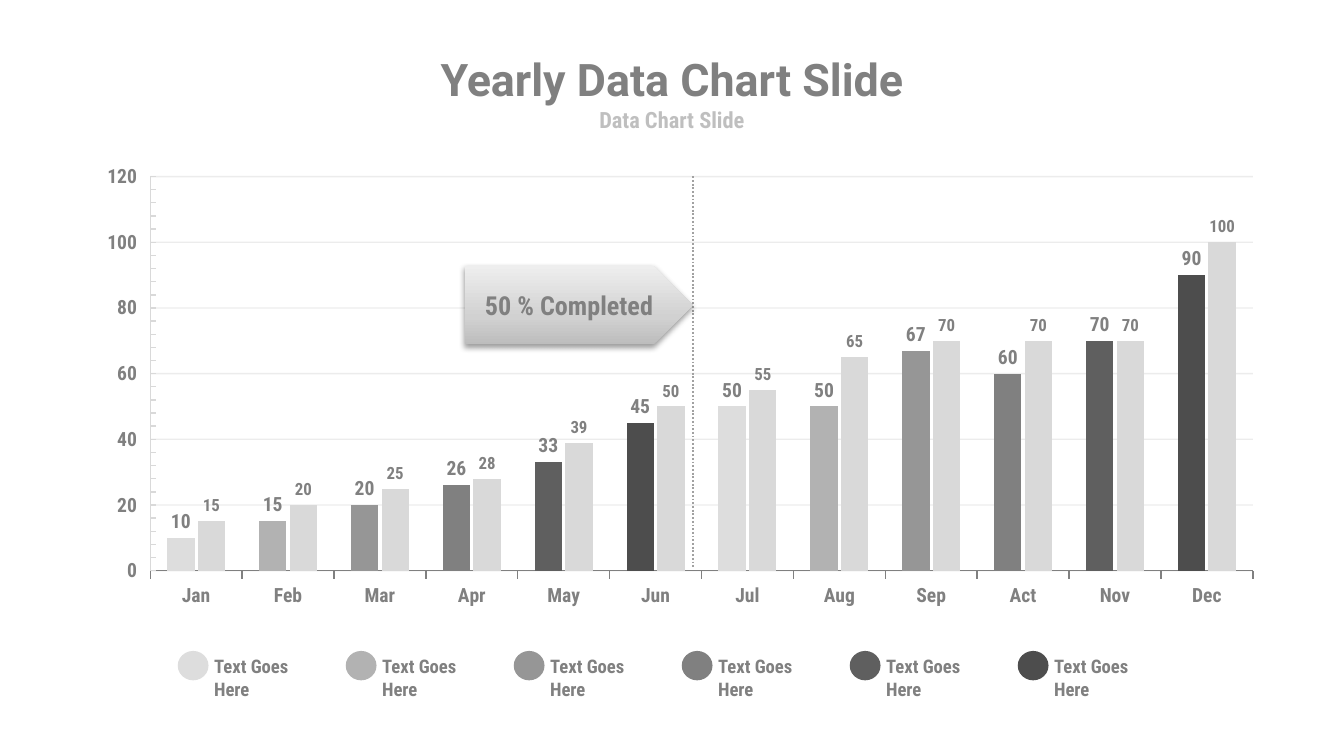
"""Build a yearly data chart slide with a half-year marker and a colour key."""
from dataclasses import dataclass

from lxml import etree
from pptx import Presentation
from pptx.chart.data import CategoryChartData
from pptx.dml.color import RGBColor
from pptx.enum.chart import XL_CHART_TYPE, XL_LABEL_POSITION, XL_TICK_LABEL_POSITION, XL_TICK_MARK
from pptx.enum.dml import MSO_LINE
from pptx.enum.shapes import MSO_CONNECTOR, MSO_SHAPE
from pptx.enum.text import MSO_ANCHOR, MSO_AUTO_SIZE, PP_ALIGN
from pptx.oxml import parse_xml
from pptx.oxml.ns import nsdecls, qn
from pptx.util import Pt

COLUMNS = XL_CHART_TYPE.COLUMN_CLUSTERED
OUTSIDE_END = XL_LABEL_POSITION.OUTSIDE_END
LABELS_LOW = XL_TICK_LABEL_POSITION.LOW
TICK_NONE, TICK_IN, TICK_OUT = XL_TICK_MARK.NONE, XL_TICK_MARK.INSIDE, XL_TICK_MARK.OUTSIDE
DOTTED = MSO_LINE.ROUND_DOT
STRAIGHT = MSO_CONNECTOR.STRAIGHT
OVAL, PENTAGON = MSO_SHAPE.OVAL, MSO_SHAPE.PENTAGON
TOP, MIDDLE = MSO_ANCHOR.TOP, MSO_ANCHOR.MIDDLE
LEFT, CENTER = PP_ALIGN.LEFT, PP_ALIGN.CENTER
NO_AUTOFIT = MSO_AUTO_SIZE.NONE
EMU_PER_PX = 9525


@dataclass(frozen=True)
class Theme:
    """Colours, fonts and type sizes."""
    text: str = "808080"
    subtitle: str = "BFBFBF"
    pale: str = "D9D9D9"
    marker: str = "A1A1A1"
    shades: tuple = ("DDDDDD", "B2B2B2", "969696", "808080", "5F5F5F", "4D4D4D")
    gradient: tuple = ((0, "BDBDBD"), (35, "D1D1D1"), (100, "EEEEEE"))
    heading_font: str = "Roboto"
    font: str = "Roboto Condensed"
    title_size: float = 24
    subtitle_size: float = 12
    axis_size: float = 10.5
    label_size: float = 9
    key_size: float = 10
    callout_size: float = 14


@dataclass(frozen=True)
class Box:
    """A rectangle in px."""
    x: int
    y: int
    w: int
    h: int

    def emu(self) -> tuple:
        """Return the rectangle in EMU."""
        return tuple(px(v) for v in (self.x, self.y, self.w, self.h))


@dataclass(frozen=True)
class KeyItem:
    """One dot of the colour key with its caption."""
    x: int
    color: str
    caption: str = "Text Goes Here"


THEME = Theme()
MONTHS = ("Jan", "Feb", "Mar", "Apr", "May", "Jun", "Jul", "Aug", "Sep", "Act", "Nov", "Dec")
SERIES = {
    "Series 1": (10, 15, 20, 26, 33, 45, 50, 50, 67, 60, 70, 90),
    "Series 2": (15, 20, 25, 28, 39, 50, 55, 65, 70, 70, 70, 100),
}
PLOT = {"x": 0.093, "y": 0.046, "w": 0.879, "h": 0.8}
KEY = [KeyItem(127 + 120 * i, color) for i, color in enumerate(THEME.shades)]


def px(value: int) -> int:
    """Turn px into EMU."""
    return value * EMU_PER_PX


def rgb(color: str) -> RGBColor:
    """Turn a hex string into a colour."""
    return RGBColor.from_string(color)


def style_font(font, size: float, color: str = THEME.text, name: str = THEME.font) -> None:
    """Set the bold type used all over the slide."""
    font.size, font.bold, font.name = Pt(size), True, name
    font.color.rgb = rgb(color)


def write(shape, text: str, size: float, color: str = THEME.text, name: str = THEME.font,
          align=CENTER, anchor=MIDDLE) -> None:
    """Write one run of text into a shape without insets."""
    tf = shape.text_frame
    tf.auto_size, tf.word_wrap, tf.vertical_anchor = NO_AUTOFIT, True, anchor
    tf.margin_left = tf.margin_top = tf.margin_right = tf.margin_bottom = 0
    p = tf.paragraphs[0]
    p.alignment = align
    r = p.add_run()
    r.text = text
    style_font(r.font, size, color, name)


def place(shape, box: Box) -> None:
    """Move a placeholder to a box."""
    shape.left, shape.top, shape.width, shape.height = box.emu()


def add_plain_shape(s, kind, box: Box):
    """Add a preset shape without outline or shadow."""
    sp = s.shapes.add_shape(kind, *box.emu())
    sp.shadow.inherit = False
    sp.line.fill.background()
    return sp


def add_headings(s) -> None:
    """Fill the title and body placeholders and drop the content one."""
    title, content, body = (s.placeholders[i] for i in (0, 1, 2))
    content.element.getparent().remove(content.element)
    place(title, Box(184, 38, 592, 37))
    write(title, "Yearly Data Chart Slide", THEME.title_size, name=THEME.heading_font)
    place(body, Box(264, 75, 432, 21))
    write(body, "Data Chart Slide", THEME.subtitle_size, THEME.subtitle)


def set_plot_layout(chart) -> None:
    """Fix the inner plot area inside the chart."""
    area = chart.element.find(f".//{qn('c:plotArea')}")
    for old in area.findall(qn("c:layout")):
        area.remove(old)
    modes = '<c:layoutTarget val="inner"/><c:xMode val="edge"/><c:yMode val="edge"/>'
    sizes = "".join(f'<c:{k} val="{v}"/>' for k, v in PLOT.items())
    area.insert(0, parse_xml(f'<c:layout {nsdecls("c")}><c:manualLayout>{modes}{sizes}'
                             "</c:manualLayout></c:layout>"))


def style_axes(chart) -> None:
    """Format both axes and the gridlines."""
    cat, val = chart.category_axis, chart.value_axis
    for axis in (cat, val):
        style_font(axis.tick_labels.font, THEME.axis_size)
        axis.format.line.width = Pt(0.75)
    cat.format.line.color.rgb = rgb(THEME.text)
    cat.major_tick_mark, cat.minor_tick_mark = TICK_OUT, TICK_NONE
    val.format.line.color.rgb = rgb(THEME.pale)
    val.major_tick_mark, val.minor_tick_mark = TICK_NONE, TICK_IN
    val.minimum_scale, val.maximum_scale = 0, 120
    val.major_unit, val.minor_unit = 20, 4
    val.tick_label_position = LABELS_LOW
    grid = val.major_gridlines.format.line
    grid.width = Pt(0.75)
    grid.color.rgb = rgb(THEME.pale)
    color = chart.element.find(f".//{qn('c:majorGridlines')}//{qn('a:srgbClr')}")
    etree.SubElement(color, qn("a:alpha"), val="48000")


def add_year_chart(s, box: Box) -> None:
    """Add the clustered columns for the year."""
    data = CategoryChartData()
    data.categories = MONTHS
    for name, values in SERIES.items():
        data.add_series(name, values)
    chart = s.shapes.add_chart(COLUMNS, *box.emu(), data).chart
    chart.has_legend = chart.has_title = False
    style_font(chart.font, THEME.axis_size)
    set_plot_layout(chart)
    style_axes(chart)
    plot = chart.plots[0]
    plot.gap_width, plot.overlap, plot.vary_by_categories = 124, -12, False
    looks = ((THEME.shades[0], THEME.axis_size), (THEME.pale, THEME.label_size))
    for series, (color, size) in zip(plot.series, looks):
        series.format.fill.solid()
        series.format.fill.fore_color.rgb = rgb(color)
        labels = series.data_labels
        labels.show_value, labels.position = True, OUTSIDE_END
        style_font(labels.font, size)
    for i in range(len(MONTHS)):
        fill = plot.series[0].points[i].format.fill
        fill.solid()
        fill.fore_color.rgb = rgb(THEME.shades[i % len(THEME.shades)])


def add_key_item(s, item: KeyItem) -> None:
    """Add a dot and its caption."""
    tb = s.shapes.add_textbox(*Box(item.x + 26, 468, 80, 16).emu())
    write(tb, item.caption, THEME.key_size, align=LEFT, anchor=TOP)
    dot = add_plain_shape(s, OVAL, Box(item.x, 465, 22, 21))
    dot.fill.solid()
    dot.fill.fore_color.rgb = rgb(item.color)


def add_marker(s) -> None:
    """Add the dotted line at half-year."""
    line = s.shapes.add_connector(STRAIGHT, px(495), px(126), px(495), px(406))
    line.line.color.rgb = rgb(THEME.marker)
    line.line.width, line.line.dash_style = Pt(1), DOTTED
    etree.SubElement(line.element.spPr, qn("a:effectLst"))


def add_callout(s, box: Box) -> None:
    """Add the shaded progress arrow."""
    sp = add_plain_shape(s, PENTAGON, box)
    stops = "".join(f'<a:gs pos="{pos * 1000}"><a:srgbClr val="{color}"/></a:gs>'
                    for pos, color in THEME.gradient)
    spPr = sp.element.spPr
    spPr.find(qn("a:prstGeom")).addnext(parse_xml(
        f'<a:gradFill {nsdecls("a")} rotWithShape="1"><a:gsLst>{stops}</a:gsLst>'
        '<a:lin ang="16200000" scaled="0"/></a:gradFill>'))
    spPr.find(qn("a:effectLst")).append(parse_xml(
        f'<a:outerShdw {nsdecls("a")} blurRad="40000" dist="20000" dir="5400000" rotWithShape="0">'
        '<a:srgbClr val="000000"><a:alpha val="38000"/></a:srgbClr></a:outerShdw>'))
    write(sp, "50 % Completed", THEME.callout_size)


def main() -> None:
    """Build and save the slide."""
    prs = Presentation()
    prs.slide_width, prs.slide_height = px(960), px(540)
    s = prs.slides.add_slide(prs.slide_layouts[7])
    add_headings(s)
    add_year_chart(s, Box(24, 110, 896, 352))
    for item in KEY:
        add_key_item(s, item)
    add_marker(s)
    add_callout(s, Box(332, 190, 163, 56))
    prs.save("out.pptx")


if __name__ == "__main__":
    main()
